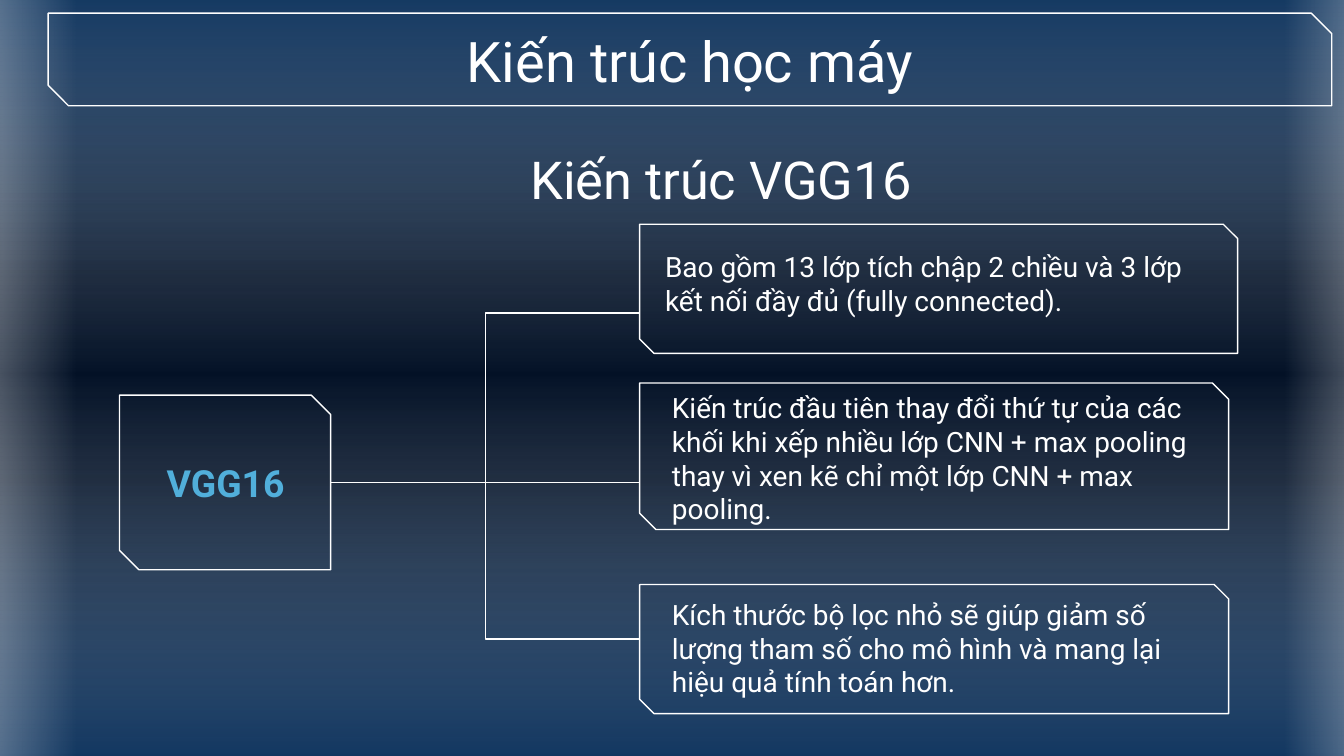
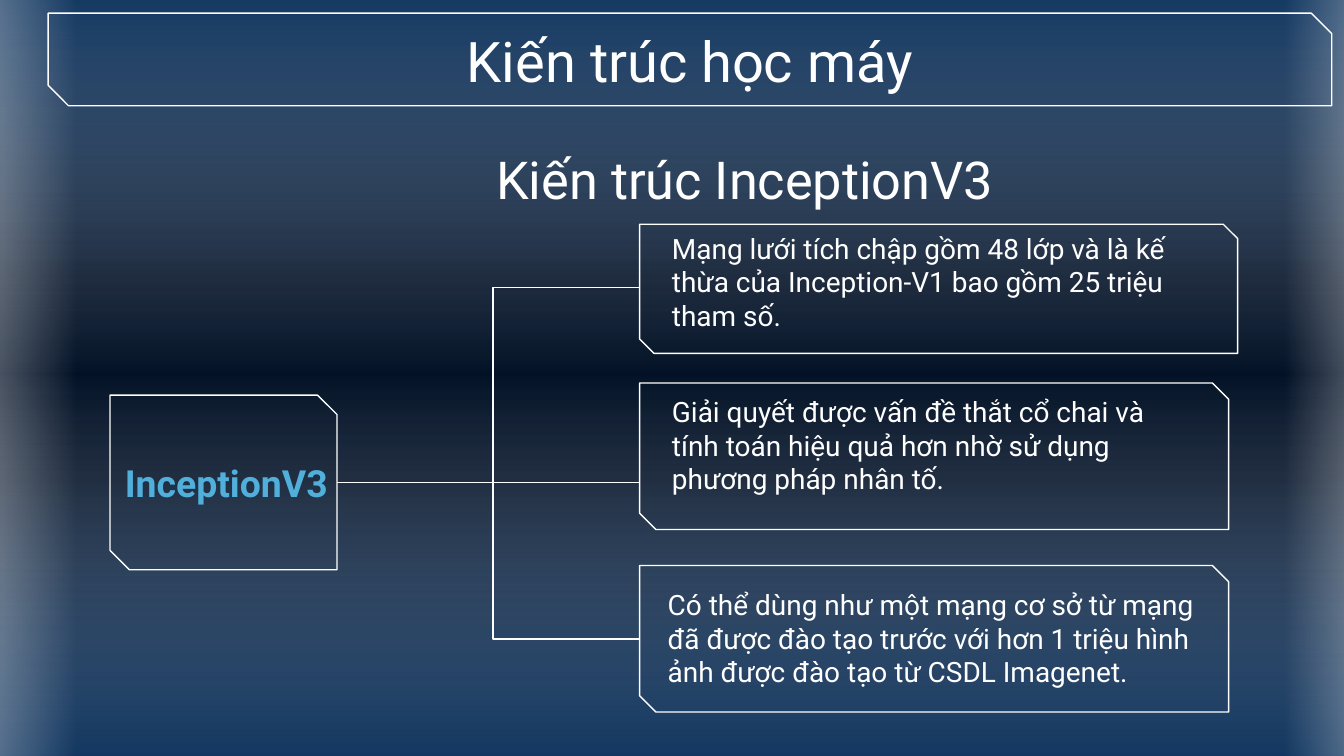
from lxml.etree import SubElement
from pptx import Presentation
from pptx.dml.color import RGBColor
from pptx.enum.shapes import MSO_CONNECTOR, MSO_SHAPE
from pptx.enum.text import MSO_ANCHOR, MSO_AUTO_SIZE, PP_ALIGN
from pptx.oxml.ns import qn
from pptx.util import Cm, Pt

WHITE, SKY, NAVY, NIGHT = "FFFFFF", "51AFDB", "10355F", "031126"
FONT = "Roboto"
CENTER, LEFT = PP_ALIGN.CENTER, PP_ALIGN.LEFT
INSET = Cm(0.25)
TRUNK_Y = 9.12
CARD_X = 12.09

SLIDES = [
    {
        "name": "VGG16",
        "subtitle_w": 9.88,
        "root": (2.26, 7.47, 3.99, 3.3),
        "label": (-0.13, 4.27),
        "trunk_x": 9.18,
        "branches": (5.92, 12.08),
        "cards": [
            ((CARD_X, 4.24, 11.3, 2.44), (0.23, 1.12, 10.41),
             "Bao gồm 13 lớp tích chập 2 chiều và 3 lớp kết nối đầy đủ (fully connected)."),
            ((CARD_X, 7.24, 11.13, 2.77), (0.36, 1.42, 10.41),
             "Kiến trúc đầu tiên thay đổi thứ tự của các khối khi xếp nhiều lớp CNN + max pooling "
             "thay vì xen kẽ chỉ một lớp CNN + max pooling."),
            ((CARD_X, 11.05, 11.13, 2.44), (0.36, 1.2, 9.78),
             "Kích thước bộ lọc nhỏ sẽ giúp giảm số lượng tham số cho mô hình và mang lại "
             "hiệu quả tính toán hơn."),
        ],
    },
    {
        "name": "InceptionV3",
        "subtitle_w": 10.77,
        "root": (2.08, 7.47, 4.29, 3.3),
        "label": (-0.2, 4.8),
        "trunk_x": 9.32,
        "branches": (5.44, 12.08),
        "cards": [
            ((CARD_X, 4.24, 11.3, 2.44), (0.36, 1.08, 10.41),
             "Mạng lưới tích chập gồm 48 lớp và là kế thừa của Inception-V1 bao gồm "
             "25 triệu tham số."),
            ((CARD_X, 7.24, 11.13, 2.77), (0.36, 1.17, 10.41),
             "Giải quyết được vấn đề thắt cổ chai và tính toán hiệu quả hơn nhờ sử dụng "
             "phương pháp nhân tố."),
            ((CARD_X, 10.69, 11.13, 2.77), (0.28, 1.37, 10.77),
             "Có thể dùng như một mạng cơ sở từ mạng đã được đào tạo trước với hơn 1 triệu "
             "hình ảnh được đào tạo từ CSDL Imagenet."),
        ],
    },
]


def rgb(value):
    return RGBColor.from_string(value)


def cm(box):
    return [Cm(v) for v in box]


def assign(target, values):
    for name, value in values.items():
        setattr(target, name, value)


def set_gradient(fill, element, stops, angle):
    fill.gradient()
    fill.gradient_angle = angle
    gs_lst = element.find(".//" + qn("a:gsLst"))
    for gs in list(gs_lst):
        gs_lst.remove(gs)
    for pos, color, alpha in stops:
        gs = SubElement(gs_lst, qn("a:gs"), pos=str(pos * 1000))
        clr = SubElement(gs, qn("a:srgbClr"), val=color)
        if alpha < 100:
            SubElement(clr, qn("a:alpha"), val=str(alpha * 1000))


def write(sp, text, size, align=CENTER, color=WHITE, bold=False):
    tf = sp.text_frame
    assign(tf, {
        "word_wrap": True, "auto_size": MSO_AUTO_SIZE.NONE,
        "vertical_anchor": MSO_ANCHOR.MIDDLE,
        "margin_left": INSET, "margin_right": INSET,
        "margin_top": INSET, "margin_bottom": INSET,
    })
    p = tf.paragraphs[0]
    p.alignment = align
    r = p.add_run()
    r.text = text
    assign(r.font, {"name": FONT, "size": Pt(size), "bold": bold})
    r.font.color.rgb = rgb(color)


def add_text(s, box, text, size, **style):
    write(s.shapes.add_textbox(*cm(box)), text, size, **style)


def style_line(line):
    line.color.rgb = rgb(WHITE)
    line.width = Pt(0.75)


def add_frame(s, box, snip=0.111):
    sp = s.shapes.add_shape(MSO_SHAPE.SNIP_2_DIAG_RECTANGLE, *cm(box))
    sp.shadow.inherit = False
    sp.fill.background()
    style_line(sp.line)
    sp.adjustments[0] = 0
    sp.adjustments[1] = snip


def add_line(s, kind, start, end, bend=None):
    cxn = s.shapes.add_connector(kind, *cm(start + end))
    style_line(cxn.line)
    sp_pr = cxn.element.spPr
    SubElement(sp_pr, qn("a:effectLst"))
    if bend is not None:
        share = (bend - start[0]) / (end[0] - start[0])
        av_lst = sp_pr.find(".//" + qn("a:avLst"))
        SubElement(av_lst, qn("a:gd"), name="adj1", fmla=f"val {round(share * 100000)}")


def build_backdrop(s, layout, master):
    night = [(0, NAVY, 100), (37, NIGHT, 100), (63, NIGHT, 100), (100, NAVY, 100)]
    set_gradient(master.background.fill, master.element, night, 90)
    veil = [(0, NAVY, 59), (50, WHITE, 0), (100, NAVY, 59)]
    glow = [(0, WHITE, 47), (100, WHITE, 0)]
    bands = [
        ((5.59, -5.92, 14.76, 25.93), 270, veil),
        ((-1.04, -0.23, 2.49, 14.73), 180, glow),
        ((24.28, -0.33, 2.16, 14.73), 0, glow),
    ]
    for number, (box, rotation, stops) in enumerate(bands, 101):
        sp = s.shapes.add_shape(MSO_SHAPE.RECTANGLE, *cm(box))
        sp.shadow.inherit = False
        sp.line.fill.background()
        sp.rotation = rotation
        set_gradient(sp.fill, sp.element, stops, 180)
        sp.element.nvSpPr.cNvPr.set("id", str(number))
        layout.shapes.element.append(sp.element)


def build_header(s, box, name, subtitle_w):
    x, y, w, h = box
    add_frame(s, box, 0.221)
    title = s.shapes.title
    assign(title, dict(zip(("left", "top", "width", "height"), cm((x, y + 0.08, w, 1.6)))))
    write(title, "Kiến trúc học máy", 30)
    add_text(s, (x + 7.78, y + 2.32, subtitle_w, 1.6), f"Kiến trúc {name}", 28)


def build_root(s, box, name, label):
    x, y, w, h = box
    dx, label_w = label
    add_frame(s, box)
    add_text(s, (x + dx, y + 0.99, label_w, 1.32), name, 20, color=SKY, bold=True)


def build_branches(s, start_x, trunk_x, ends):
    start = (start_x, TRUNK_Y)
    for y in ends:
        add_line(s, MSO_CONNECTOR.ELBOW, start, (CARD_X, y), trunk_x)
    add_line(s, MSO_CONNECTOR.STRAIGHT, (9.17, TRUNK_Y), (CARD_X, TRUNK_Y))


def build_card(s, box, place, text):
    x, y, w, h = box
    dx, middle, text_w = place
    text_h = 1.8
    add_frame(s, box)
    add_text(s, (x + dx, y + middle - text_h / 2, text_w, text_h), text, 15, align=LEFT)


def build_slide(s, data):
    build_header(s, (0.91, 0.25, 24.26, 1.75), data["name"], data["subtitle_w"])
    root = data["root"]
    build_root(s, root, data["name"], data["label"])
    build_branches(s, root[0] + root[2], data["trunk_x"], data["branches"])
    for card in data["cards"]:
        build_card(s, *card)


def main():
    prs = Presentation()
    assign(prs, {"slide_width": Cm(25.4), "slide_height": Cm(14.29)})
    layout = prs.slide_layouts[5]
    slides = [prs.slides.add_slide(layout) for _ in SLIDES]
    build_backdrop(slides[0], layout, prs.slide_master)
    for s, data in zip(slides, SLIDES):
        build_slide(s, data)
    prs.save("out.pptx")


if __name__ == "__main__":
    main()
